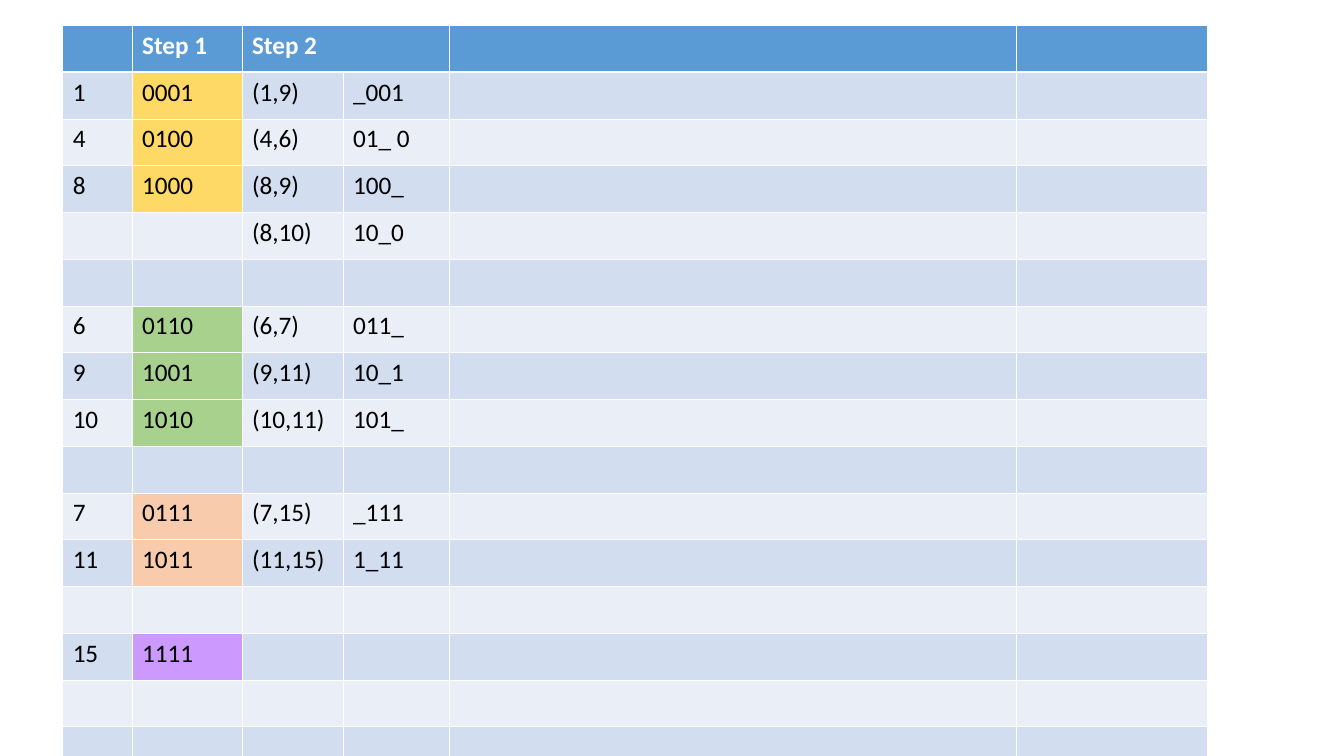
from lxml.etree import fromstring
from pptx import Presentation
from pptx.dml.color import RGBColor
from pptx.oxml.ns import nsdecls
from pptx.util import Cm, Pt

COLORS = {
    "head": "5B9BD5", "odd": "D2DEEF", "even": "EAEFF7",
    "gold": "FFD966", "green": "A9D18E", "peach": "F8CBAD", "violet": "CC99FF",
    "line": "FFFFFF", "title": "FFFFFF", "text": "000000",
}
WIDTHS = [1.75, 2.77, 2.55, 2.68, 14.3, 4.8]
TITLES = ["", "Step 1", "Step 2"]
# Each group: fill of its codes, then rows of minterm, code, pair, merged code
GROUPS = [
    ("gold", [("1", "0001", "(1,9)", "_001"),
              ("4", "0100", "(4,6)", "01_ 0"),
              ("8", "1000", "(8,9)", "100_"),
              ("", "", "(8,10)", "10_0")]),
    ("green", [("6", "0110", "(6,7)", "011_"),
               ("9", "1001", "(9,11)", "10_1"),
               ("10", "1010", "(10,11)", "101_")]),
    ("peach", [("7", "0111", "(7,15)", "_111"),
               ("11", "1011", "(11,15)", "1_11")]),
    ("violet", [("15", "1111")]),
]
ROWS = 16
THIN, THICK = 0.45, 1.47


def set_lines(cell, top, base):
    """Draw the four borders; top and base are widths in points."""
    props = cell._tc.get_or_add_tcPr()
    sides = [("L", THIN), ("R", THIN), ("T", top), ("B", base)]
    for spot, (side, width) in enumerate(sides):
        props.insert(spot, fromstring(
            f'<a:ln{side} {nsdecls("a")} w="{Pt(width)}"><a:solidFill>'
            f'<a:srgbClr val="{COLORS["line"]}"/></a:solidFill></a:ln{side}>'))


def style_cell(cell, text, fill, row):
    cell.text = text
    cell.fill.solid()
    cell.fill.fore_color.rgb = RGBColor.from_string(COLORS[fill])
    font = cell.text_frame.paragraphs[0].font
    font.name, font.size, font.bold = "Calibri", Pt(18), row == 0
    font.color.rgb = RGBColor.from_string(COLORS["text" if row else "title"])
    set_lines(cell, THICK if row == 1 else THIN, THIN if row else THICK)


def list_rows():
    """Return (code fill, texts) for each row, with a gap after each group."""
    rows = [("head", TITLES)]
    for fill, lines in GROUPS:
        rows += [(fill, line) for line in lines] + [(None, ())]
    return rows + [(None, ())] * (ROWS - len(rows))


def add_grid(slide, left, top, width, height):
    table = slide.shapes.add_table(
        ROWS, len(WIDTHS), Cm(left), Cm(top), Cm(width), Cm(height)).table
    for col, size in zip(table.columns, WIDTHS):
        col.width = Cm(width * size / sum(WIDTHS))
    for row, (mark, texts) in enumerate(list_rows()):
        table.rows[row].height = Cm(height / ROWS)
        band = "head" if row == 0 else "odd" if row % 2 else "even"
        for col in range(len(WIDTHS)):
            text = texts[col] if col < len(texts) else ""
            fill = mark if col == 1 and text else band
            style_cell(table.cell(row, col), text, fill, row)
    table.cell(0, 2).merge(table.cell(0, 3))


def main():
    deck = Presentation()
    deck.slide_width, deck.slide_height = Cm(33.88), Cm(19.05)
    slide = deck.slides.add_slide(deck.slide_layouts[6])
    add_grid(slide, left=1.58, top=0.64, width=28.85, height=18.86)
    deck.save("out.pptx")


if __name__ == "__main__":
    main()
